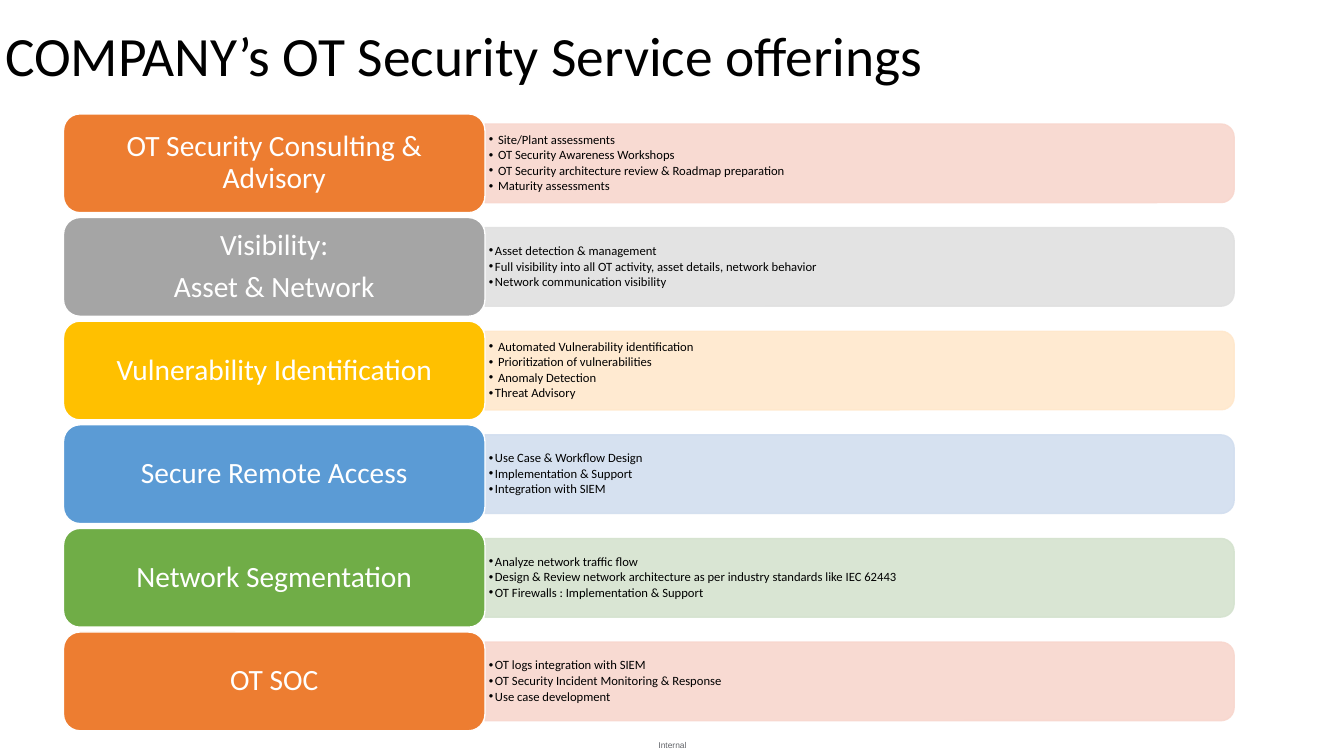
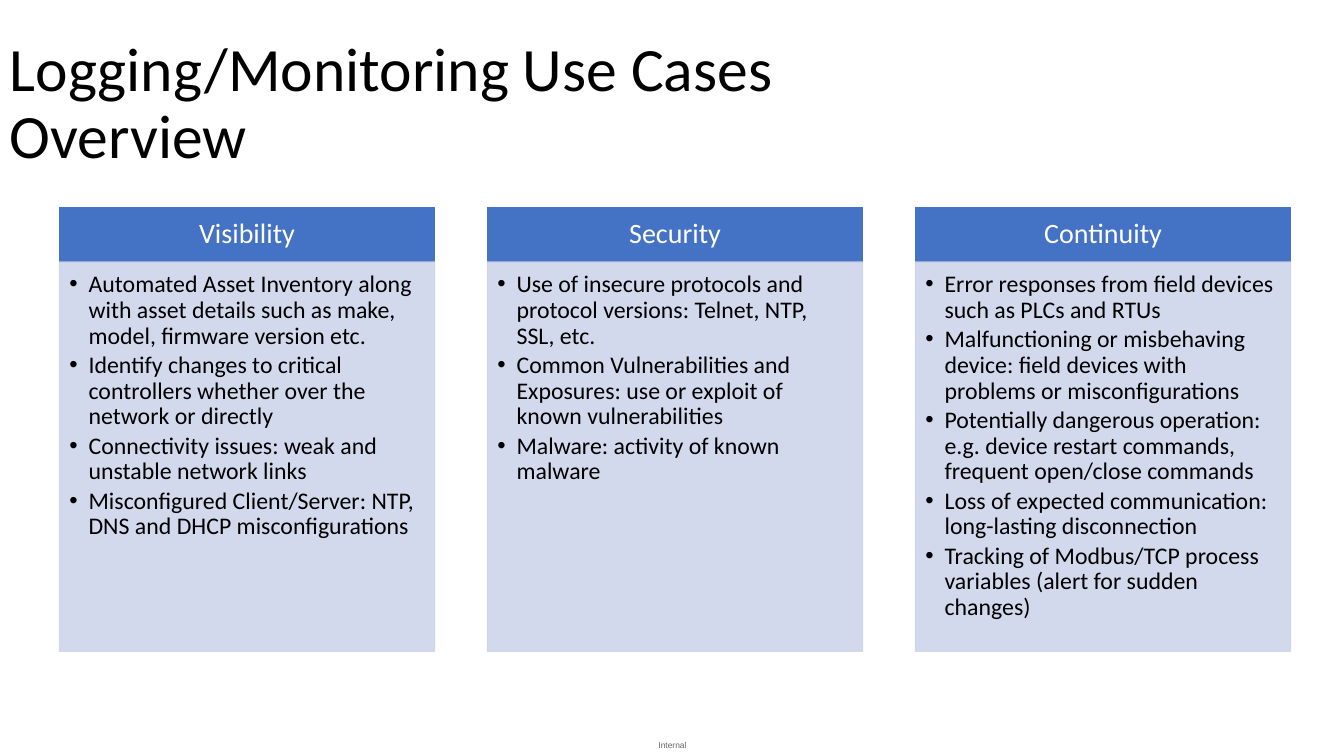
"""Build two slides on OT security services and monitoring use cases."""
from lxml.etree import SubElement
from pptx import Presentation
from pptx.dml.color import RGBColor
from pptx.enum.shapes import MSO_SHAPE
from pptx.enum.text import MSO_ANCHOR, PP_ALIGN
from pptx.oxml.ns import qn
from pptx.util import Inches, Pt

BLACK = RGBColor(0x00, 0x00, 0x00)
WHITE = RGBColor(0xFF, 0xFF, 0xFF)
FOOTER_GREY = RGBColor(0x62, 0x64, 0x69)
ORANGE = RGBColor(0xED, 0x7D, 0x31)
GREY = RGBColor(0xA5, 0xA5, 0xA5)
GOLD = RGBColor(0xFF, 0xC0, 0x00)
SKY = RGBColor(0x5B, 0x9B, 0xD5)
GREEN = RGBColor(0x70, 0xAD, 0x47)
BLUE = RGBColor(0x44, 0x72, 0xC4)
PALE_ORANGE = RGBColor(0xF8, 0xD7, 0xCE)
PALE_GREY = RGBColor(0xE1, 0xE1, 0xE1)
PALE_GOLD = RGBColor(0xFF, 0xE8, 0xCC)
PALE_SKY = RGBColor(0xD2, 0xDE, 0xEF)
PALE_GREEN = RGBColor(0xD5, 0xE3, 0xCF)
PALE_BLUE = RGBColor(0xCF, 0xD5, 0xEA)

BODY_FONT = "Calibri"
FOOTER_FONT = "Arial"
PALE_OPACITY = 90
LINE_SPACING = 0.9
HEADING_GAP = 0.35
BULLET_GAP = 0.15

CARD_LEFT, CARD_WIDTH, CARD_HEIGHT = 0.63, 4.18, 0.98
FIRST_CARD_TOP, LAST_CARD_TOP = 1.13, 6.27
BAND_WIDTH, BAND_HEIGHT = 7.43, 0.78
BULLET_HANG, WIDE_BULLET_HANG = 0.06, 0.09

FIRST_COLUMN_LEFT, LAST_COLUMN_LEFT = 0.59, 9.08
COLUMN_WIDTH, COLUMN_TOP = 3.72, 2.06
HEADER_HEIGHT, BODY_HEIGHT = 0.54, 3.86
COLUMN_HANG = 0.19

OFFERINGS = [
    (ORANGE, PALE_ORANGE, ["OT Security Consulting & Advisory"], 4, [
        "Site/Plant assessments",
        "OT Security Awareness Workshops",
        "OT Security architecture review & Roadmap preparation",
        "Maturity assessments",
    ]),
    (GREY, PALE_GREY, ["Visibility:", "Asset & Network"], 0, [
        "Asset detection & management",
        "Full visibility into all OT activity, asset details, network behavior",
        "Network communication visibility",
    ]),
    (GOLD, PALE_GOLD, ["Vulnerability Identification"], 3, [
        "Automated Vulnerability identification",
        "Prioritization of vulnerabilities",
        "Anomaly Detection",
        "Threat Advisory",
    ]),
    (SKY, PALE_SKY, ["Secure Remote Access"], 0, [
        "Use Case & Workflow Design",
        "Implementation & Support",
        "Integration with SIEM",
    ]),
    (GREEN, PALE_GREEN, ["Network Segmentation"], 0, [
        "Analyze network traffic flow",
        "Design & Review network architecture as per industry standards like IEC 62443",
        "OT Firewalls : Implementation & Support",
    ]),
    (ORANGE, PALE_ORANGE, ["OT SOC"], 0, [
        "OT logs integration with SIEM",
        "OT Security Incident Monitoring & Response",
        "Use case development",
    ]),
]

USE_CASES = [
    ("Visibility", [
        "Automated Asset Inventory along with asset details such as make, model, firmware version etc.",
        "Identify changes to critical controllers whether over the network or directly",
        "Connectivity issues: weak and unstable network links",
        "Misconfigured Client/Server: NTP, DNS and DHCP misconfigurations",
    ]),
    ("Security", [
        "Use of insecure protocols and protocol versions: Telnet, NTP, SSL, etc.",
        "Common Vulnerabilities and Exposures: use or exploit of known vulnerabilities",
        "Malware: activity of known malware",
    ]),
    ("Continuity", [
        "Error responses from field devices such as PLCs and RTUs",
        "Malfunctioning or misbehaving device: field devices with problems or misconfigurations",
        "Potentially dangerous operation: e.g. device restart commands, frequent open/close commands",
        "Loss of expected communication: long-lasting disconnection",
        "Tracking of Modbus/TCP process variables (alert for sudden changes)",
    ]),
]


def spread(first, last, count):
    """Return evenly spaced positions from first to last."""
    return [first + (last - first) * i / (count - 1) for i in range(count)]


def set_frame(frame, insets, anchor):
    """Set wrapping, insets (left, top, right, bottom) and anchor."""
    frame.word_wrap = True
    frame.vertical_anchor = anchor
    frame.margin_left, frame.margin_top, frame.margin_right, frame.margin_bottom = map(Inches, insets)


def add_bullet(paragraph, hang):
    """Give a paragraph a hanging bullet."""
    properties = paragraph._p.get_or_add_pPr()
    properties.set("marL", str(Inches(hang)))
    properties.set("indent", str(-Inches(hang)))
    SubElement(properties, qn("a:buFont")).set("typeface", "Arial")
    SubElement(properties, qn("a:buChar")).set("char", "•")


def write(frame, lines, size, color, align=PP_ALIGN.LEFT, gap=0, hangs=None, font=BODY_FONT):
    """Write one paragraph per line, bulleted when hangs are given."""
    for index, line in enumerate(lines):
        paragraph = frame.add_paragraph() if index else frame.paragraphs[0]
        if hangs:
            add_bullet(paragraph, hangs[index])
        paragraph.alignment = align
        paragraph.line_spacing = LINE_SPACING
        paragraph.space_after = Pt(size * gap)
        run = paragraph.add_run()
        run.text = line
        run.font.name = font
        run.font.size = Pt(size)
        run.font.color.rgb = color


def add_text(slide, left, top, width, height, insets):
    """Add a text box anchored in the middle and return its frame."""
    box = slide.shapes.add_textbox(Inches(left), Inches(top), Inches(width), Inches(height))
    set_frame(box.text_frame, insets, MSO_ANCHOR.MIDDLE)
    return box.text_frame


def add_panel(slide, preset, left, top, width, height, fill, line, opacity=100):
    """Add a filled and outlined preset shape."""
    panel = slide.shapes.add_shape(preset, Inches(left), Inches(top), Inches(width), Inches(height))
    panel.shadow.inherit = False
    panel.fill.solid()
    panel.fill.fore_color.rgb = fill
    panel.line.color.rgb = line
    panel.line.width = Pt(1)
    if opacity < 100:
        for color in panel._element.spPr.iter(qn("a:srgbClr")):
            SubElement(color, qn("a:alpha")).set("val", str(opacity * 1000))
    return panel


def add_slide(deck, title, top, width, height, inset, size):
    """Add a blank slide with its title and the shared footer."""
    slide = deck.slides.add_slide(deck.slide_layouts[6])
    footer = add_text(slide, 6.42, 7.3, 0.5, 0.2, (0, 0, 0, 0))
    write(footer, ["Internal"], 6, FOOTER_GREY, PP_ALIGN.CENTER, font=FOOTER_FONT)
    heading = add_text(slide, 0, top, width, height, (inset, 0.05, 0.1, 0.05))
    write(heading, [title], size, BLACK)
    return slide


def add_offering(slide, top, color, pale, names, wide_count, services):
    """Add one service card with its band of bullets."""
    middle = top + CARD_HEIGHT / 2
    band_left = CARD_LEFT + CARD_WIDTH
    band = add_panel(slide, MSO_SHAPE.ROUND_2_SAME_RECTANGLE,
                     band_left + (BAND_WIDTH - BAND_HEIGHT) / 2, middle - BAND_WIDTH / 2,
                     BAND_HEIGHT, BAND_WIDTH, pale, pale, PALE_OPACITY)
    band.rotation = 90
    details = add_text(slide, band_left, middle - BAND_HEIGHT / 2, BAND_WIDTH, BAND_HEIGHT,
                       (0.04, 0.02, 0.04, 0.02))
    hangs = [WIDE_BULLET_HANG if i < wide_count else BULLET_HANG for i in range(len(services))]
    write(details, services, 9, BLACK, gap=BULLET_GAP, hangs=hangs)
    card = add_panel(slide, MSO_SHAPE.ROUNDED_RECTANGLE, CARD_LEFT, top,
                     CARD_WIDTH, CARD_HEIGHT, color, WHITE)
    set_frame(card.text_frame, (0.09, 0.04, 0.09, 0.04), MSO_ANCHOR.MIDDLE)
    write(card.text_frame, names, 21, WHITE, PP_ALIGN.CENTER, HEADING_GAP)


def add_use_case(slide, left, name, cases):
    """Add one column with a header and a bulleted body."""
    header = add_panel(slide, MSO_SHAPE.RECTANGLE, left, COLUMN_TOP,
                       COLUMN_WIDTH, HEADER_HEIGHT, BLUE, BLUE)
    set_frame(header.text_frame, (0.16, 0.09, 0.16, 0.09), MSO_ANCHOR.MIDDLE)
    write(header.text_frame, [name], 20, WHITE, PP_ALIGN.CENTER, HEADING_GAP)
    body = add_panel(slide, MSO_SHAPE.RECTANGLE, left, COLUMN_TOP + HEADER_HEIGHT,
                     COLUMN_WIDTH, BODY_HEIGHT, PALE_BLUE, PALE_BLUE, PALE_OPACITY)
    set_frame(body.text_frame, (0.1, 0.1, 0.13, 0.15), MSO_ANCHOR.TOP)
    write(body.text_frame, cases, 17, BLACK, gap=BULLET_GAP, hangs=[COLUMN_HANG] * len(cases))


def main():
    """Build and save the presentation."""
    deck = Presentation()
    deck.slide_width, deck.slide_height = Inches(13.33), Inches(7.5)

    services = add_slide(deck, "COMPANY’s OT Security Service offerings", 0.08, 13.33, 1, 0.05, 39.6)
    for top, offering in zip(spread(FIRST_CARD_TOP, LAST_CARD_TOP, len(OFFERINGS)), OFFERINGS):
        add_offering(services, top, *offering)

    monitoring = add_slide(deck, "Logging/Monitoring Use Cases Overview", 0.38, 10.2, 1.33, 0.1, 44)
    for left, use_case in zip(spread(FIRST_COLUMN_LEFT, LAST_COLUMN_LEFT, len(USE_CASES)), USE_CASES):
        add_use_case(monitoring, left, *use_case)

    deck.save("out.pptx")


if __name__ == "__main__":
    main()
